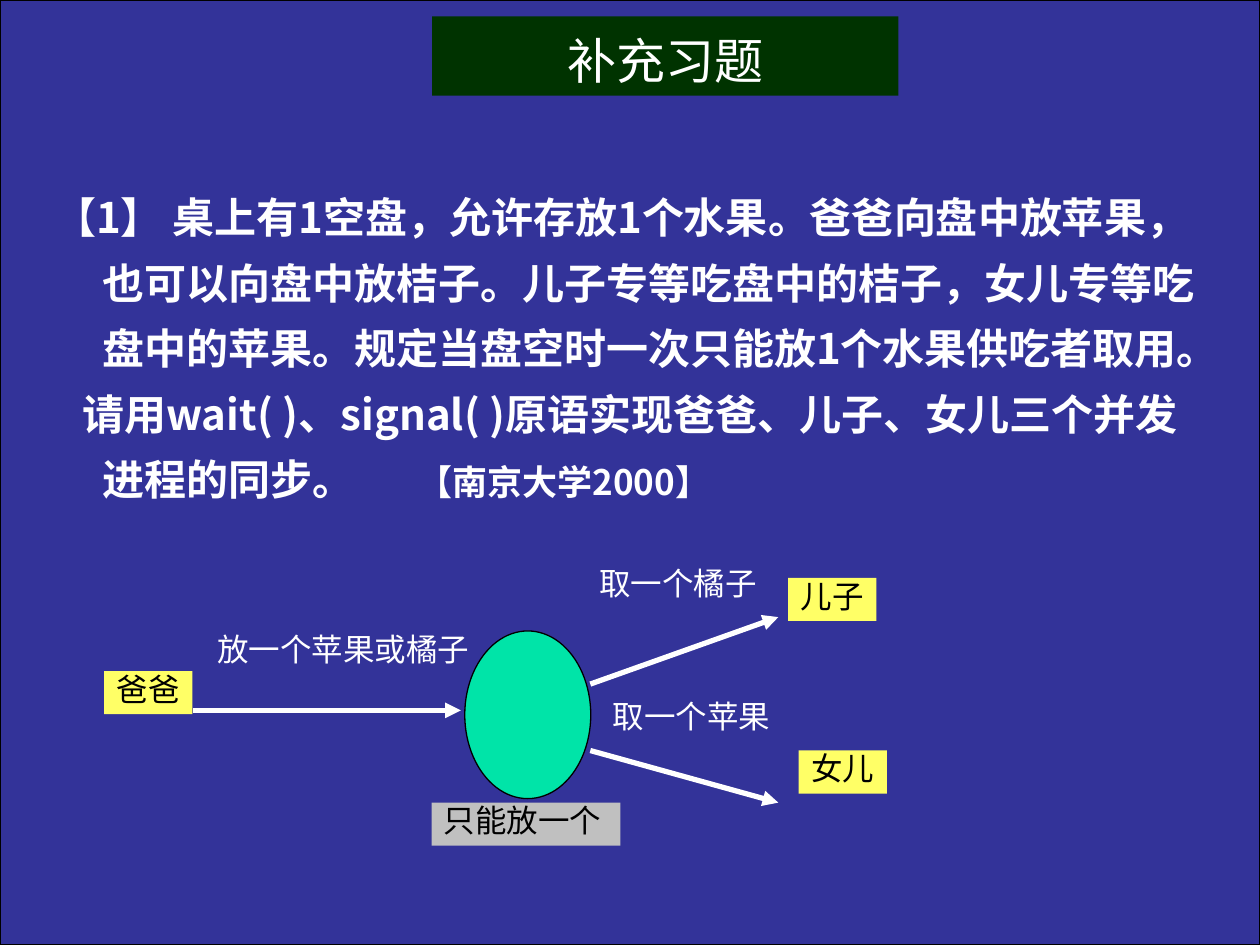
from lxml.etree import SubElement
from pptx import Presentation
from pptx.dml.color import RGBColor
from pptx.enum.shapes import MSO_CONNECTOR, MSO_SHAPE
from pptx.enum.text import MSO_ANCHOR, PP_ALIGN
from pptx.oxml.ns import qn
from pptx.util import Cm, Pt

HUES = {
    "back": "333399",
    "head": "003300",
    "plate": "00E4A8",
    "role": "FFFF66",
    "note": "C0C0C0",
    "light": "FFFFFF",
    "dark": "000000",
}
SANS = "Noto Sans CJK SC"
LABEL = "Arial"


def hue(key):
    return RGBColor.from_string(HUES[key])


def add_form(slide, kind, box, fill, edge=None):
    form = slide.shapes.add_shape(kind, *map(Cm, box))
    form.shadow.inherit = False
    form.fill.solid()
    form.fill.fore_color.rgb = hue(fill)
    if edge:
        form.line.color.rgb = hue(edge)
        form.line.width = Pt(0.75)
    else:
        form.line.fill.background()
    return form


def style(para, size, ink, face, bold=False):
    font = para.font
    font.size = Pt(size)
    font.bold = bold
    font.color.rgb = hue(ink)
    font.name = face
    props = para._p.pPr.find(qn("a:defRPr"))
    SubElement(props, qn("a:ea")).set("typeface", SANS)


def indent(para, left, first, tab=None):
    props = para._p.get_or_add_pPr()
    props.set("marL", str(Cm(left)))
    props.set("indent", str(Cm(first)))
    if tab:
        tabs = SubElement(props, qn("a:tabLst"))
        stop = SubElement(tabs, qn("a:tab"))
        stop.set("pos", str(Cm(tab)))
        stop.set("algn", "l")


def add_title(slide, box):
    form = add_form(slide, MSO_SHAPE.RECTANGLE, box, "head")
    frame = form.text_frame
    frame.vertical_anchor = MSO_ANCHOR.BOTTOM
    para = frame.paragraphs[0]
    para.text = "补充习题"
    para.alignment = PP_ALIGN.CENTER
    style(para, 28, "light", SANS)


def add_task(slide, box):
    frame = slide.shapes.add_textbox(*map(Cm, box)).text_frame
    frame.word_wrap = True
    frame.vertical_anchor = MSO_ANCHOR.MIDDLE
    frame.margin_left = frame.margin_top = frame.margin_bottom = 0

    story = frame.paragraphs[0]
    story.text = (
        "【1】 桌上有1空盘，允许存放1个水果。爸爸向盘中放苹果，"
        "也可以向盘中放桔子。儿子专等吃盘中的桔子，女儿专等吃盘中的苹果。"
        "规定当盘空时一次只能放1个水果供吃者取用。"
    )
    indent(story, 0.97, -0.97)

    quest = frame.add_paragraph()
    quest.add_run().text = (
        "请用wait( )、signal( )原语实现爸爸、儿子、女儿三个并发进程的同步。\t"
    )
    source = quest.add_run()
    source.text = "【南京大学2000】"
    source.font.size = Pt(20)
    indent(quest, 0.97, -0.4, 10.5)

    for para in frame.paragraphs:
        para.line_spacing = 1.3
        style(para, 24, "light", SANS, True)


def add_label(slide, text, box, fill=None):
    if fill:
        form = add_form(slide, MSO_SHAPE.RECTANGLE, box, fill)
    else:
        form = slide.shapes.add_textbox(*map(Cm, box))
    frame = form.text_frame
    frame.word_wrap = bool(fill)
    frame.vertical_anchor = MSO_ANCHOR.TOP
    para = frame.paragraphs[0]
    para.text = text
    para.alignment = PP_ALIGN.LEFT
    para.line_spacing = 0.8
    style(para, 18, "dark" if fill else "light", LABEL)


def add_arrow(slide, ends):
    line = slide.shapes.add_connector(MSO_CONNECTOR.STRAIGHT, *map(Cm, ends))
    line.line.color.rgb = hue("light")
    line.line.width = Pt(3)
    SubElement(line.line._get_or_add_ln(), qn("a:tailEnd")).set("type", "triangle")
    SubElement(line._element.spPr, qn("a:effectLst"))


def add_flow(slide, left, top):
    plate = (left + 7.27, top + 1.32, 2.54, 3.38)
    add_form(slide, MSO_SHAPE.OVAL, plate, "plate", "dark")

    for x1, y1, x2, y2 in (
        (1.8, 2.92, 7.19, 2.92),
        (9.8, 2.39, 13.59, 1.04),
        (9.8, 3.73, 13.59, 4.78),
    ):
        add_arrow(slide, (left + x1, top + y1, left + x2, top + y2))

    for text, x, y, wide, fill in (
        ("爸爸", 0, 2.13, 1.78, "role"),
        ("儿子", 13.79, 0.25, 1.78, "role"),
        ("女儿", 14, 3.73, 1.78, "role"),
        ("只能放一个", 6.6, 4.78, 3.81, "note"),
        ("放一个苹果或橘子", 2.03, 1.32, 5.59, None),
        ("取一个橘子", 9.73, 0, 3.68, None),
        ("取一个苹果", 10, 2.67, 3.68, None),
    ):
        add_label(slide, text, (left + x, top + y, wide, 0.87), fill)


def main():
    deck = Presentation()
    deck.slide_width, deck.slide_height = Cm(25.4), Cm(19.05)
    slide = deck.slides.add_slide(deck.slide_layouts[6])
    add_form(slide, MSO_SHAPE.RECTANGLE, (0, 0, 25.4, 19.05), "back", "dark")
    add_title(slide, (8.71, 0.33, 9.4, 1.6))
    add_task(slide, (1.09, 2.9, 23.44, 7.92))
    add_flow(slide, 2.1, 11.4)
    deck.save("out.pptx")


if __name__ == "__main__":
    main()
